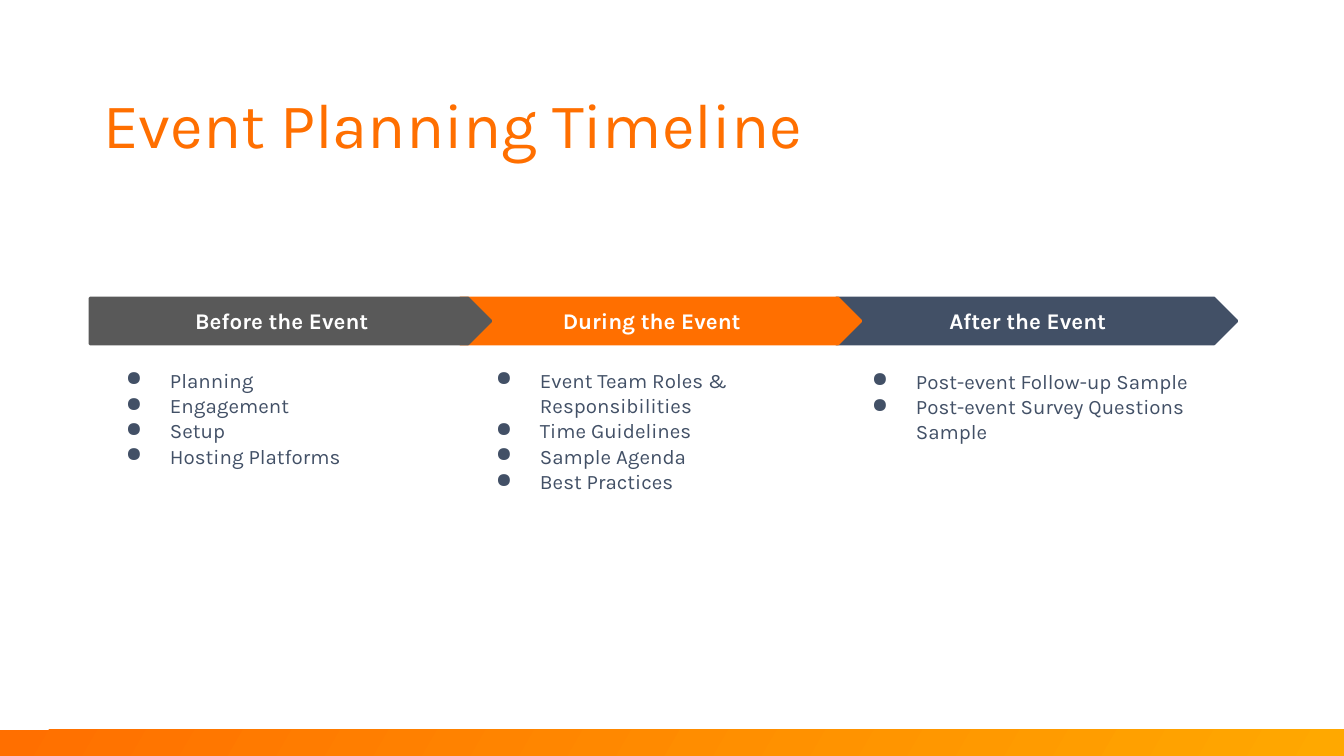
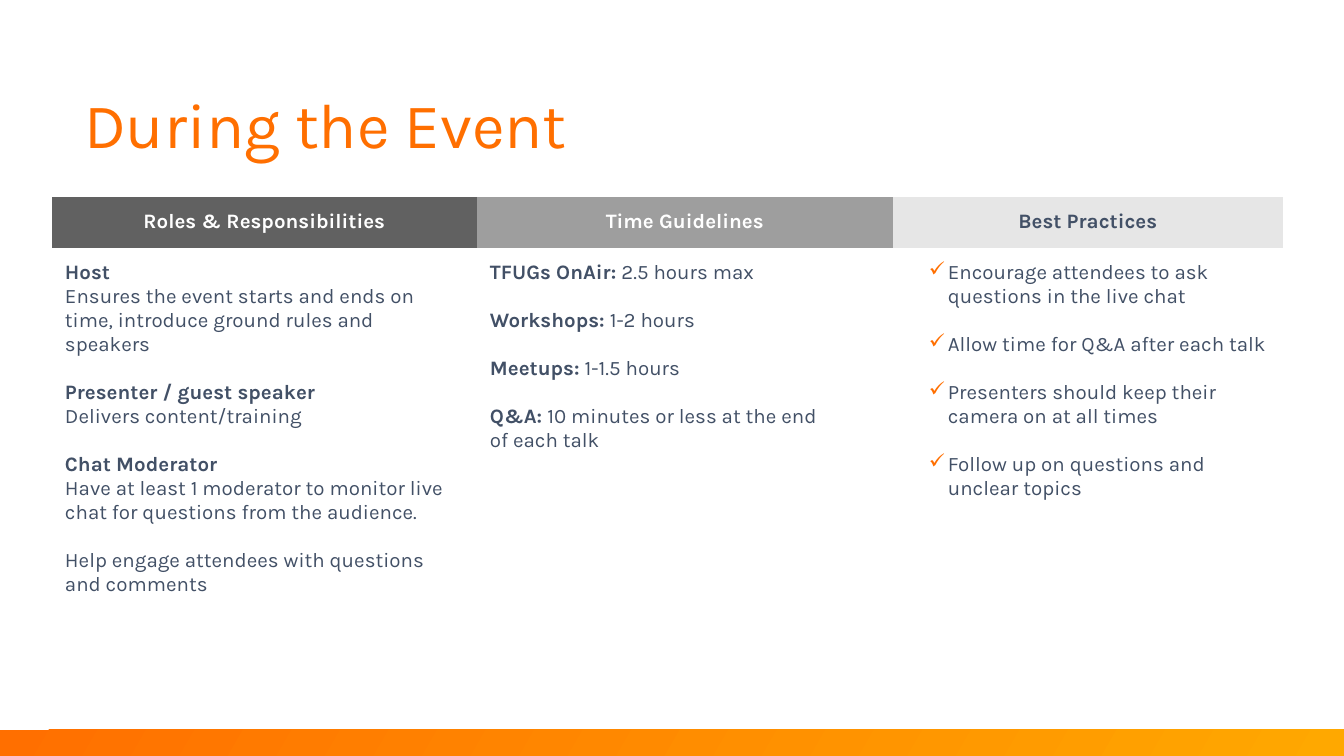
from lxml import etree
from pptx import Presentation, util as u
from pptx.dml.color import RGBColor
from pptx.enum import shapes, text
from pptx.oxml import ns

ORANGE = RGBColor(0xFF, 0x6F, 0x00)
AMBER = RGBColor(0xFF, 0xA8, 0x00)
NAVY = RGBColor(0x42, 0x50, 0x66)
WHITE = RGBColor(0xFF, 0xFF, 0xFF)
CHARCOAL = RGBColor(0x59, 0x59, 0x59)
DARK_GREY = RGBColor(0x61, 0x61, 0x61)
MID_GREY = RGBColor(0x9E, 0x9E, 0x9E)
LIGHT_GREY = RGBColor(0xE6, 0xE6, 0xE6)

FONT = "Karla"
WIDTH, HEIGHT = 1344, 756
INSET = 13
BLANK_LINE = 12.86  # points, one line of body text
NO_STYLE = "{2D5ABB26-0587-4C30-8999-92F81FD0307C}"
DOT = ("●", NAVY, 67, 44)  # character, colour, margin, hanging indent
TICK = ("✓", ORANGE, 42, 19)


def px(n):
    return u.Emu(round(n * 914400 / 134.4))


def add_bullet(p, char, color, margin, hang):
    pPr = p._p.get_or_add_pPr()
    pPr.set("marL", str(px(margin)))
    pPr.set("indent", str(-px(hang)))
    clr = etree.SubElement(pPr, ns.qn("a:buClr"))
    etree.SubElement(clr, ns.qn("a:srgbClr")).set("val", str(color))
    etree.SubElement(pPr, ns.qn("a:buChar")).set("char", char)


def write(tf, txt, lead="", size=11, color=NAVY, bold=False, align=None,
          bullet=None, gap=0, spacing=None):
    """Add one paragraph; lead is a bold start, a newline is a line break."""
    p = tf.paragraphs[0]
    if p.runs:
        p = tf.add_paragraph()
    if bullet:
        add_bullet(p, *bullet)
    if gap:
        p.space_before = u.Pt(gap)
    if spacing:
        p.line_spacing = spacing
    p.alignment = align
    for part, heavy in ((lead, True), (txt, bold)):
        for i, line in enumerate(part.split("\n") if part else []):
            if i:
                p.add_line_break()
            r = p.add_run()
            r.text = line
            r.font.name, r.font.size, r.font.bold = FONT, u.Pt(size), heavy
            r.font.color.rgb = color


class Deck:
    def __init__(self):
        self.prs = Presentation()
        self.prs.slide_width, self.prs.slide_height = px(WIDTH), px(HEIGHT)
        self.s = None

    def slide(self, title, x):
        self.s = self.prs.slides.add_slide(self.prs.slide_layouts[6])
        self.band()
        tf = self.textbox(x, 65, 985, 66)
        write(tf, title, size=34, color=ORANGE, spacing=1.1)

    def shape(self, kind, x, y, w, h):
        sp = self.s.shapes.add_shape(kind, px(x), px(y), px(w), px(h))
        sp.shadow.inherit = False
        return sp

    def frame(self, tf):
        tf.word_wrap = True
        tf.margin_left = tf.margin_right = px(INSET)
        tf.margin_top = tf.margin_bottom = px(INSET)
        return tf

    def band(self):
        sp = self.shape(shapes.MSO_SHAPE.RECTANGLE, 0, 730, WIDTH, 26)
        sp.line.fill.background()
        sp.fill.gradient()
        sp.fill.gradient_angle = 330
        for stop, color, pos in zip(sp.fill.gradient_stops, (ORANGE, AMBER), (0, 1)):
            stop.color.rgb, stop.position = color, pos

    def textbox(self, x, y, w, h):
        sp = self.s.shapes.add_textbox(px(x), px(y), px(w), px(h))
        return self.frame(sp.text_frame)

    def bullets(self, x, y, w, h, items):
        tf = self.textbox(x, y, w, h)
        for item in items:
            write(tf, item, bullet=DOT, spacing=1.03)

    def phase(self, x, label, color):
        sp = self.shape(shapes.MSO_SHAPE.PENTAGON, x, 298, 401, 46)
        sp.fill.solid()
        sp.fill.fore_color.rgb = sp.line.color.rgb = color
        sp.line.width = u.Pt(1.5)
        tf = self.frame(sp.text_frame)
        tf.vertical_anchor = text.MSO_ANCHOR.MIDDLE
        write(tf, label, size=12, color=WHITE, bold=True, align=text.PP_ALIGN.CENTER)

    def table(self, x, y, heights, columns):
        w = sum(c[0] for c in columns)
        tbl = self.s.shapes.add_table(len(heights), len(columns), px(x), px(y),
                                      px(w), px(sum(heights))).table
        tbl._tbl.tblPr.find(ns.qn("a:tableStyleId")).text = NO_STYLE
        for row, h in zip(tbl.rows, heights):
            row.height = px(h)
        for i, (w, head, fill, color, body) in enumerate(columns):
            tbl.columns[i].width = px(w)
            top, bottom = tbl.cell(0, i), tbl.cell(1, i)
            for cell in (top, bottom):
                cell.margin_left = cell.margin_right = px(INSET)
                cell.margin_top = cell.margin_bottom = px(INSET)
            top.fill.solid()
            top.fill.fore_color.rgb = fill
            bottom.fill.background()
            write(top.text_frame, head, color=color, bold=True,
                  align=text.PP_ALIGN.CENTER)
            for txt, fmt in body:
                write(bottom.text_frame, txt, **fmt)


def spaced(items):
    """Set a blank line's height before every paragraph but the first."""
    return [(txt, dict(fmt, gap=BLANK_LINE if i else 0))
            for i, (txt, fmt) in enumerate(items)]


def main():
    d = Deck()

    # Timeline: later phases lie under earlier ones
    d.slide("Event Planning Timeline", 90)
    d.bullets(90, 354, 401, 320,
              ["Planning", "Engagement", "Setup", "Hosting Platforms"])
    d.bullets(836, 355, 379, 130,
              ["Post-event Follow-up Sample", "Post-event Survey Questions Sample"])
    d.bullets(460, 354, 401, 152,
              ["Event Team Roles & Responsibilities", "Time Guidelines",
               "Sample Agenda", "Best Practices"])
    d.phase(836, "After the Event ", NAVY)
    d.phase(460, "During the Event ", ORANGE)
    d.phase(90, "Before the Event ", CHARCOAL)

    # During the event: table of roles, times and practices
    d.slide("During the Event", 71)
    head, after = dict(bold=True, gap=BLANK_LINE), dict(gap=BLANK_LINE)
    roles = [
        ("Host", dict(bold=True)),
        ("Ensures the event starts and ends on time, introduce ground rules "
         "and speakers", {}),
        ("Presenter / guest speaker", head),
        ("Delivers content/training", {}),
        ("Chat Moderator", head),
        ("Have at least 1 moderator to monitor live chat for questions from "
         "the audience.", {}),
        ("Help engage attendees with questions and comments", after),
    ]
    times = spaced([
        (" 2.5 hours max", dict(lead="TFUGs OnAir:")),
        (" 1-2 hours", dict(lead="Workshops:")),
        (" 1-1.5 hours", dict(lead="Meetups:")),
        (" 10 minutes or less at the end \nof each talk", dict(lead="Q&A:")),
    ])
    practices = spaced([(txt, dict(bullet=TICK)) for txt in (
        "Encourage attendees to ask questions in the live chat",
        "Allow time for Q&A after each talk",
        "Presenters should keep their camera on at all times",
        "Follow up on questions and unclear topics",
    )])
    d.table(52, 197, (49, 425), [
        (425, "Roles & Responsibilities", DARK_GREY, WHITE, roles),
        (416, "Time Guidelines", MID_GREY, WHITE, times),
        (390, "Best Practices", LIGHT_GREY, NAVY, practices),
    ])

    d.prs.save("out.pptx")


if __name__ == "__main__":
    main()
